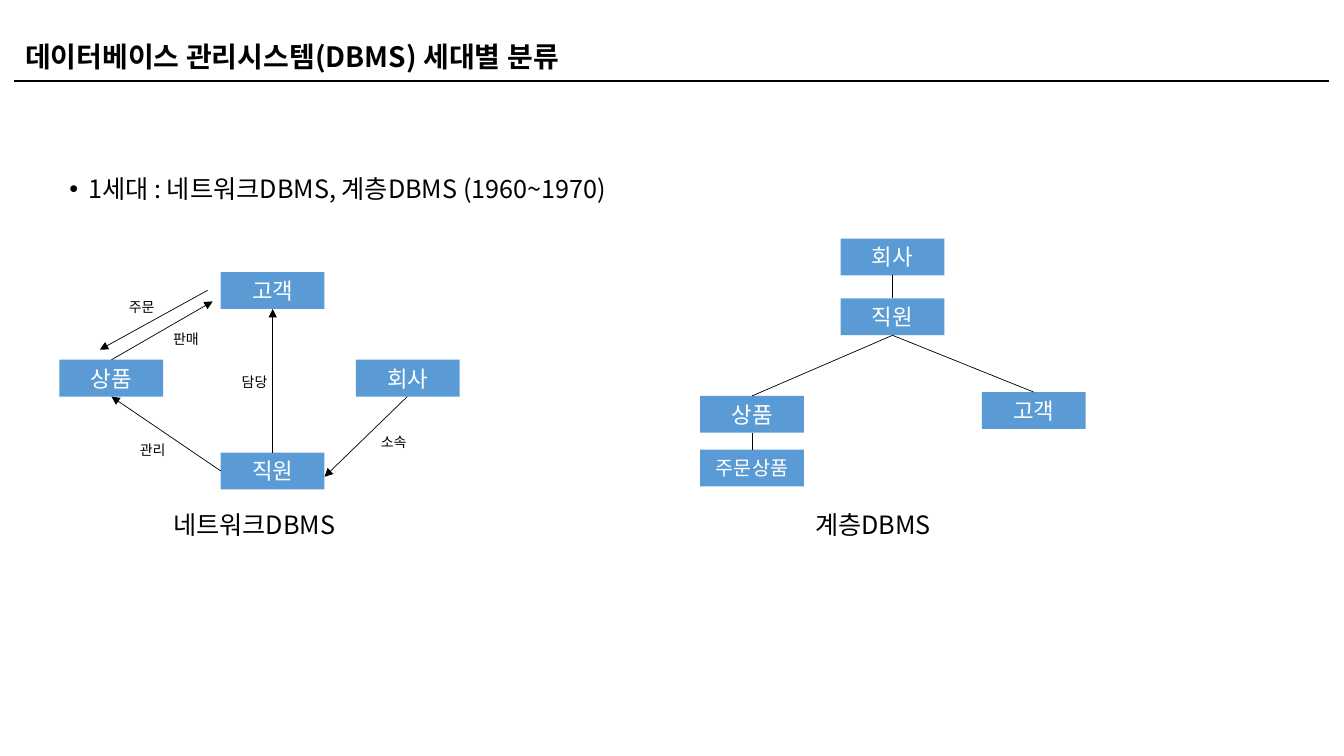
"""Build the slide on first-generation database management systems."""
from lxml import etree
from pptx import Presentation
from pptx.dml.color import RGBColor
from pptx.enum.shapes import MSO_CONNECTOR, MSO_SHAPE
from pptx.enum.text import MSO_ANCHOR, MSO_AUTO_SIZE, PP_ALIGN
from pptx.oxml.ns import qn
from pptx.util import Pt

FONT = "Noto Sans CJK KR"
COLORS = {"ink": "000000", "box": "5B9BD5", "paper": "FFFFFF"}
BOX_WIDTH, BOX_HEIGHT = 74.1, 26.3
BOTTOM, TOP = 2, 0


def write(box, text, size, color="ink", align=PP_ALIGN.LEFT, bold=False):
    """Put one styled paragraph into a box and return it."""
    para = box.text_frame.paragraphs[0]
    para.alignment = align
    span = para.add_run()
    span.text = text
    formats = {"size": Pt(size), "name": FONT, "bold": bold}
    for name, value in formats.items():
        setattr(span.font, name, value)
    span.font.color.rgb = RGBColor.from_string(COLORS[color])
    etree.SubElement(span.font._element, qn("a:ea"), typeface=FONT)
    return para


def add_line(start, end, width=0.5, arrow=False):
    """Draw a straight line, with an arrowhead at its end if asked."""
    line = page.shapes.add_connector(
        MSO_CONNECTOR.STRAIGHT, *[Pt(value) for value in (*start, *end)])
    line.line.width = Pt(width)
    line.line.color.rgb = RGBColor.from_string(COLORS["ink"])
    if arrow:
        etree.SubElement(line.line._get_or_add_ln(), qn("a:tailEnd"), type="triangle")
    etree.SubElement(line._element.spPr, qn("a:effectLst"))
    return line


deck = Presentation()
deck.slide_width, deck.slide_height = Pt(960), Pt(540)
page = deck.slides.add_slide(deck.slide_layouts[6])

add_line((10.1, 57.6), (949, 57.6), width=1.5)

texts = [
    ("데이터베이스 관리시스템(DBMS) 세대별 분류", 20, 10.8, 24.5, 656, 31.5),
    ("1세대 : 네트워크DBMS, 계층DBMS (1960~1970)", 18, 42.5, 98.6, 877.7, 43.9),
    ("네트워크DBMS", 18, 116.6, 360, 141.8, 29),
    ("계층DBMS", 18, 575.3, 360, 141.8, 29),
    ("주문", 10, 74.2, 209.5, 54, 19.4),
    ("판매", 10, 105.8, 232.6, 54, 19.4),
    ("담당", 10, 154.8, 263.5, 54, 19.4),
    ("소속", 10, 254.2, 306, 54, 19.4),
    ("관리", 10, 82.1, 311.8, 54, 19.4),
]
for text, size, *place in texts:
    box = page.shapes.add_textbox(*[Pt(value) for value in place])
    box.text_frame.word_wrap = True
    box.text_frame.auto_size = MSO_AUTO_SIZE.SHAPE_TO_FIT_TEXT
    align = PP_ALIGN.CENTER if size == 10 else PP_ALIGN.LEFT
    para = write(box, text, size, align=align, bold=size == 20)
    if text.startswith("1세대"):
        para.line_spacing = 2.0
        layout = para._p.get_or_add_pPr()
        layout.set("marL", str(Pt(13.5)))
        layout.set("indent", str(-Pt(13.5)))
        etree.SubElement(layout, qn("a:buFont"), typeface="Arial")
        etree.SubElement(layout, qn("a:buChar"), char="•")

entities = [
    ("network", "고객", 157.7, 194.4),
    ("network", "직원", 157.7, 323.3),
    ("network", "상품", 42.5, 257),
    ("network", "회사", 254.2, 257),
    ("tree", "회사", 600.5, 170.4),
    ("tree", "직원", 600.5, 213.2),
    ("tree", "상품", 500.2, 282.8),
    ("tree", "고객", 701.4, 280.1),
    ("tree", "주문상품", 500.2, 321.2),
]
boxes = {}
for model, name, left, top in entities:
    box = page.shapes.add_shape(
        MSO_SHAPE.RECTANGLE, Pt(left), Pt(top), Pt(BOX_WIDTH), Pt(BOX_HEIGHT))
    box.shadow.inherit = False
    box.fill.solid()
    box.fill.fore_color.rgb = RGBColor.from_string(COLORS["box"])
    box.line.fill.background()
    box.text_frame.vertical_anchor = MSO_ANCHOR.MIDDLE
    write(box, name, 14 if len(name) > 2 else 16, "paper", PP_ALIGN.CENTER)
    boxes[model, name] = box

relations = [
    ((148.3, 207.4), (71.3, 249.8)),
    ((290.9, 283.3), (231.8, 340.6)),
    ((79.6, 257), (151.9, 215.3)),
    ((157.7, 336.4), (79.6, 283.3)),
    ((194.8, 323.3), (194.8, 220.7)),
]
for start, end in relations:
    add_line(start, end, arrow=True)

branches = [("회사", "직원"), ("직원", "상품"), ("직원", "고객"), ("상품", "주문상품")]
for parent, child in branches:
    line = add_line((0, 0), (0, 0))
    line.begin_connect(boxes["tree", parent], BOTTOM)
    line.end_connect(boxes["tree", child], TOP)

deck.save("out.pptx")
